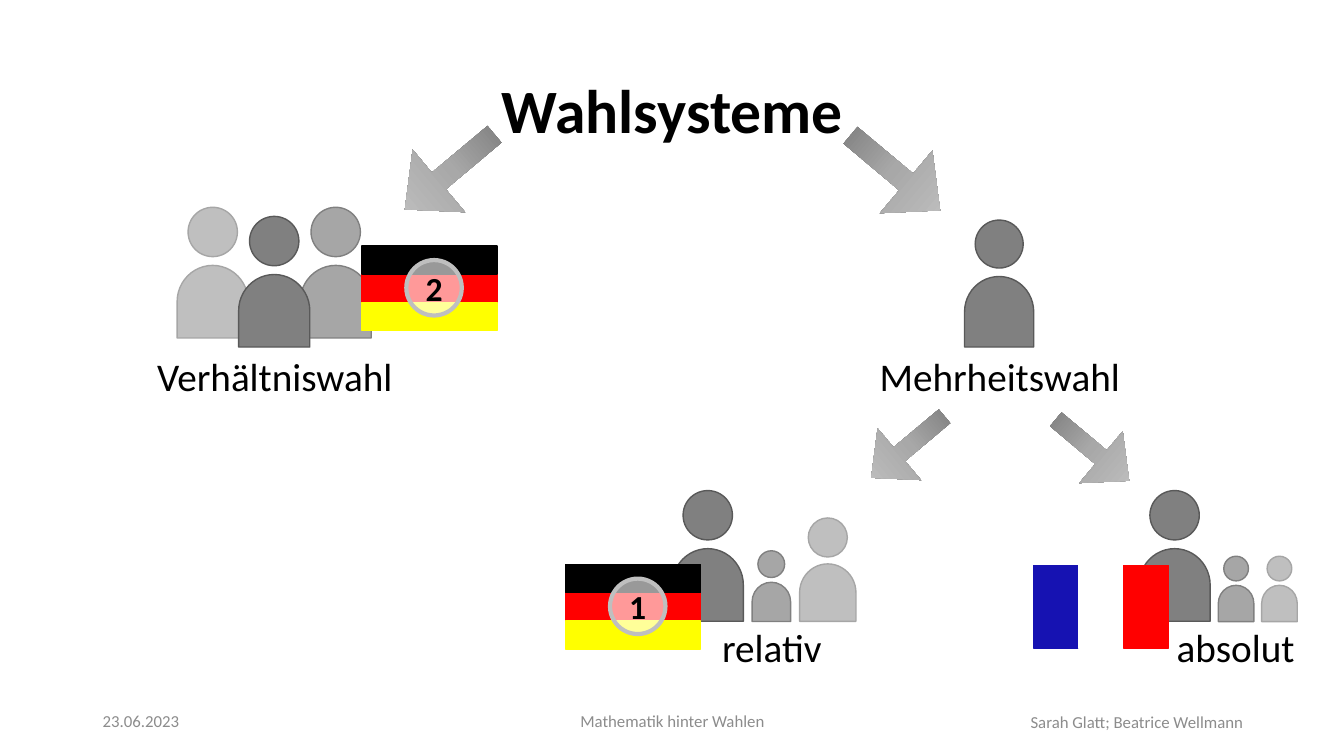
from lxml.etree import SubElement
from pptx import Presentation
from pptx.dml.color import RGBColor
from pptx.enum.shapes import MSO_SHAPE
from pptx.enum.text import MSO_ANCHOR, PP_ALIGN
from pptx.oxml import parse_xml
from pptx.oxml.ns import nsdecls, qn
from pptx.util import Inches, Pt

COLORS = {
    "text": "000000", "footer": "8C8C8C", "white": "FFFFFF", "ring": "BFBFBF",
    "black": "000000", "red": "FF0000", "yellow": "FFFF00", "blue": "1612B2",
    "dark": "808080", "dark line": "595959",
    "middle": "A6A6A6", "middle line": "808080",
    "light": "BFBFBF", "light line": "A6A6A6",
}
GRADIENT = {0: "6F6F6F", 48000: "A8A8A8", 100000: "C9C9C9"}

deck = Presentation()
deck.slide_width, deck.slide_height = Inches(13.33), Inches(7.5)
page = deck.slides.add_slide(deck.slide_layouts[6])


def add_form(kind, left, top, width, height, fill, line, weight=1):
    form = page.shapes.add_shape(kind, *map(Inches, (left, top, width, height)))
    form.shadow.inherit = False
    form.fill.solid()
    form.fill.fore_color.rgb = RGBColor.from_string(COLORS[fill])
    form.line.color.rgb = RGBColor.from_string(COLORS[line])
    form.line.width = Pt(weight)
    return form


def write(box, text, size, color="text", align=PP_ALIGN.CENTER, bold=False):
    box.text_frame.word_wrap = True
    paragraph = box.text_frame.paragraphs[0]
    paragraph.text = text
    paragraph.alignment = align
    paragraph.font.name = "Calibri"
    paragraph.font.size = Pt(size)
    paragraph.font.bold = bold
    paragraph.font.color.rgb = RGBColor.from_string(COLORS[color])
    return paragraph


# People: centre, baseline, body size, shade
people = [
    (2.11, 3.36, 0.72, "light"), (3.33, 3.36, 0.72, "middle"), (2.72, 3.45, 0.72, "dark"),
    (9.91, 3.45, 0.70, "dark"),
    (8.21, 6.17, 0.57, "light"), (7.65, 6.17, 0.39, "middle"), (7.02, 6.17, 0.72, "dark"),
    (12.69, 6.17, 0.36, "light"), (12.26, 6.17, 0.36, "middle"), (11.65, 6.17, 0.72, "dark"),
]
for center, base, size, shade in people:
    body = add_form(MSO_SHAPE.FLOWCHART_DELAY, center - size / 2, base - size,
                    size, size * 0.98, shade, shade + " line")
    body.rotation = 270
    head = size * 0.68
    add_form(MSO_SHAPE.OVAL, center - head / 2, base - size * 1.81,
             head, head, shade, shade + " line")

# Arrows: left, top, width, height, points left
arrows = [
    (3.88, 1.30, 1.16, 0.81, True), (8.30, 1.31, 1.16, 0.81, False),
    (8.53, 4.10, 0.95, 0.67, True), (10.36, 4.13, 0.95, 0.67, False),
]
stops = "".join(f'<a:gs pos="{position}"><a:srgbClr val="{color}"/></a:gs>'
                for position, color in GRADIENT.items())
for left, top, width, height, points_left in arrows:
    arrow = add_form(MSO_SHAPE.RIGHT_ARROW, left, top, width, height, "middle", "middle")
    arrow.adjustments[0], arrow.adjustments[1] = 0.265, 0.543
    arrow.line.fill.background()
    arrow.rotation = 320 if points_left else 40
    properties = arrow._element.spPr
    if points_left:
        properties.find(qn("a:xfrm")).set("flipH", "1")
    gradient = parse_xml(f'<a:gradFill {nsdecls("a")} rotWithShape="1"><a:gsLst>{stops}'
                         '</a:gsLst><a:lin ang="0" scaled="0"/></a:gradFill>')
    properties.replace(properties.find(qn("a:solidFill")), gradient)

# Title and footer
title = page.shapes.add_textbox(*map(Inches, (0.92, 0.4, 11.5, 1.45)))
title.text_frame.vertical_anchor = MSO_ANCHOR.MIDDLE
write(title, "Wahlsysteme", 44, bold=True).line_spacing = 0.9

footers = [
    (0.92, 6.95, 3, "23.06.2023", PP_ALIGN.LEFT),
    (4.42, 6.95, 4.5, "Mathematik hinter Wahlen", PP_ALIGN.CENTER),
    (9.43, 6.96, 3, "Sarah Glatt; Beatrice Wellmann", PP_ALIGN.RIGHT),
]
for left, top, width, text, align in footers:
    footer = page.shapes.add_textbox(*map(Inches, (left, top, width, 0.4)))
    footer.text_frame.vertical_anchor = MSO_ANCHOR.MIDDLE
    write(footer, text, 12, "footer", align)

# Names of the voting systems
labels = [(1.38, 3.45, "Verhältniswahl"), (8.57, 3.45, "Mehrheitswahl"),
          (10.91, 6.13, "absolut"), (6.31, 6.13, "relativ")]
for left, top, text in labels:
    label = page.shapes.add_textbox(*map(Inches, (left, top, 2.69, 0.57)))
    write(label, text, 28)

# French flag
for column, color in enumerate(("blue", "white", "red")):
    add_form(MSO_SHAPE.RECTANGLE, 10.25 + column * 0.445, 5.61, 0.45, 0.82, color, color)

# German flags with the number of votes; the red stripe lies at the back
for left, top, votes in ((3.59, 2.44, "2"), (5.61, 5.6, "1")):
    for row, color in ((1, "red"), (0, "black"), (2, "yellow")):
        add_form(MSO_SHAPE.RECTANGLE, left, top + row * 0.28, 1.34, 0.28, color, color)
    badge = add_form(MSO_SHAPE.OVAL, left + 0.44, top + 0.14, 0.55, 0.55, "white", "ring", 3)
    tint = badge._element.spPr.find(qn("a:solidFill"))[0]
    SubElement(tint, qn("a:alpha")).set("val", "60000")
    badge.text_frame.vertical_anchor = MSO_ANCHOR.MIDDLE
    write(badge, votes, 24, bold=True)

deck.save("out.pptx")
